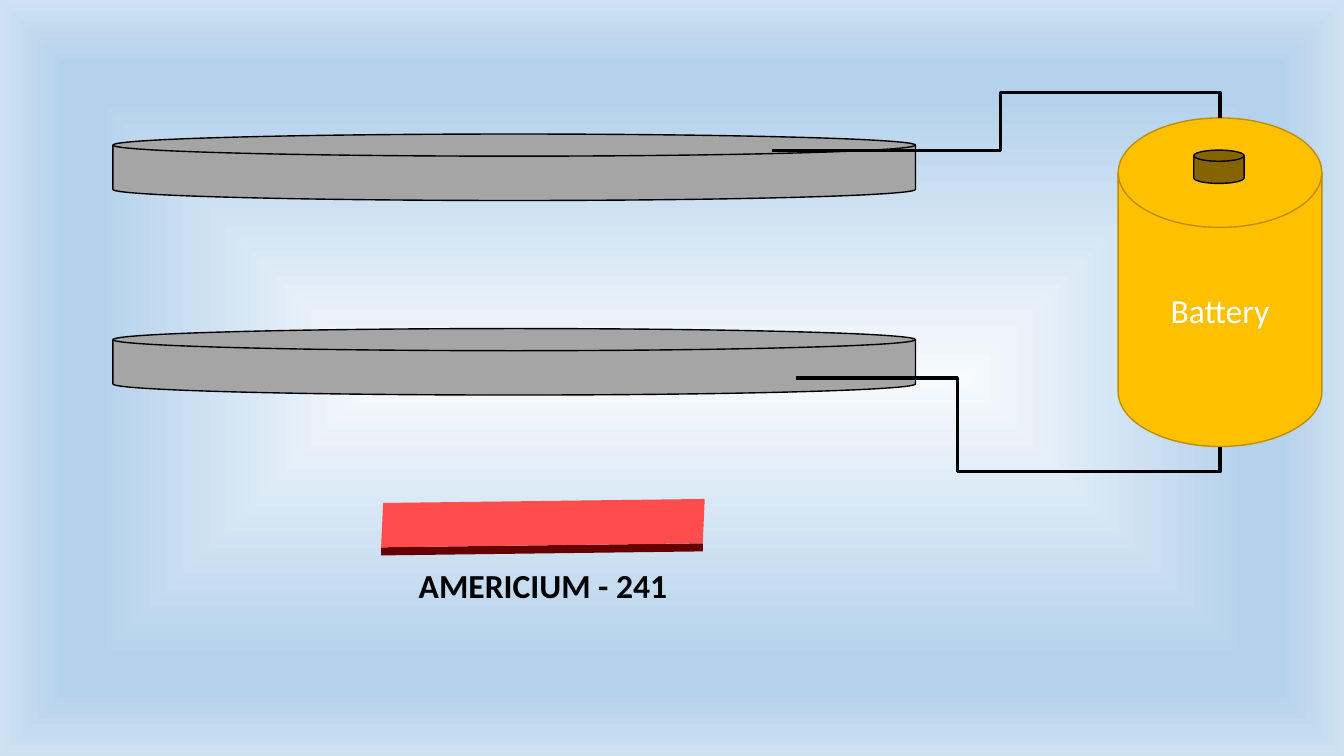
from lxml.etree import SubElement
from pptx import Presentation
from pptx.dml.color import RGBColor as RGB
from pptx.enum.shapes import MSO_CONNECTOR as Link, MSO_SHAPE as Kind
from pptx.enum.text import MSO_ANCHOR as Anchor, PP_ALIGN as Align
from pptx.oxml import parse_xml
from pptx.oxml.ns import qn
from pptx.util import Inches, Pt

BLACK = RGB(0, 0, 0)
WHITE = RGB(255, 255, 255)
GREY = RGB(0xA5, 0xA5, 0xA5)
GOLD = RGB(0xFF, 0xC0, 0x00)
BRONZE = RGB(0xBD, 0x8E, 0x00)
RED = RGB(0xFF, 0x4D, 0x4D)
MAROON = RGB(0x66, 0x00, 0x00)
PALE = RGB(0xF7, 0xFA, 0xFD)
SKY = RGB(0xB5, 0xD2, 0xEC)
MIST = RGB(0xCE, 0xE1, 0xF2)
STOPS = [(0, PALE), (74, SKY), (83, SKY), (100, MIST)]
SPACE = "http://schemas.openxmlformats.org/drawingml/2006/main"


def set_back(slide):
    """Fill the background with a gradient that spreads from the centre."""
    slide.background.fill.gradient()
    old = slide.element.find(".//" + qn("a:gradFill"))
    stops = "".join(
        f'<a:gs pos="{pos * 1000}"><a:srgbClr val="{tint}"/></a:gs>'
        for pos, tint in STOPS
    )
    new = parse_xml(
        f'<a:gradFill xmlns:a="{SPACE}" rotWithShape="1"><a:gsLst>{stops}</a:gsLst>'
        '<a:path path="rect"><a:fillToRect l="50000" t="50000" r="50000" b="50000"/>'
        "</a:path></a:gradFill>"
    )
    old.getparent().replace(old, new)


def add_disk(slide, left, top, width, height, fill, line):
    """Add one outlined cylinder."""
    box = map(Inches, (left, top, width, height))
    disk = slide.shapes.add_shape(Kind.FLOWCHART_MAGNETIC_DISK, *box)
    disk.shadow.inherit = False
    disk.fill.solid()
    disk.fill.fore_color.rgb = fill
    disk.line.color.rgb = line
    disk.line.width = Pt(1)
    return disk


def set_text(frame, text, tint, bold=False):
    """Write one centred label."""
    para = frame.paragraphs[0]
    para.text = text
    para.alignment = Align.CENTER
    para.font.name = "Calibri"
    para.font.size = Pt(24)
    para.font.bold = bold
    para.font.color.rgb = tint


def add_cell(slide, left, top, width, height):
    """Add the battery with its label and shaded terminal."""
    cell = add_disk(slide, left, top, width, height, GOLD, BRONZE)
    cell.text_frame.vertical_anchor = Anchor.MIDDLE
    set_text(cell.text_frame, "Battery", WHITE)
    knob = add_disk(slide, left + width / 2 - 0.26, top + 0.32, 0.5, 0.33, BLACK, BLACK)
    tint = knob.element.spPr.find(qn("a:solidFill") + "/" + qn("a:srgbClr"))
    SubElement(tint, qn("a:alpha"), val="48000")


def add_wire(slide, start, end, bends):
    """Add one wire with three bends, placed as shares of its box."""
    ends = map(Inches, (*start, *end))
    wire = slide.shapes.add_connector(Link.ELBOW, *ends)
    wire.line.color.rgb = BLACK
    wire.line.width = Pt(2.25)
    props = wire.element.spPr
    shape = props.find(qn("a:prstGeom"))
    shape.set("prst", "bentConnector4")
    guides = shape.find(qn("a:avLst"))
    if guides is None:
        guides = SubElement(shape, qn("a:avLst"))
    for num, bend in enumerate(bends, 1):
        SubElement(guides, qn("a:gd"), name=f"adj{num}", fmla=f"val {round(bend * 100000)}")
    SubElement(props, qn("a:effectLst"))


def add_slab(slide, left, top, width, height):
    """Add the tilted source slab, its front edge and its caption."""
    lean, rise, deep = 0.02, 0.04, 0.08
    right, base = left + width, top + height
    low = [(left, base - deep), (right - lean, base - deep - rise)]
    face = [(left + lean, top + rise), (right, top), low[1], low[0]]
    edge = [*low, (right - lean, base - rise), (left, base)]
    for points, tint in ((edge, MAROON), (face, RED)):
        spots = [(Inches(x), Inches(y)) for x, y in points]
        path = slide.shapes.build_freeform(*spots[0])
        path.add_line_segments(spots[1:], close=True)
        part = path.convert_to_shape()
        part.shadow.inherit = False
        part.fill.solid()
        part.fill.fore_color.rgb = tint
        part.line.fill.background()
    box = map(Inches, (left + 0.26, base + 0.05, 2.69, 0.5))
    label = slide.shapes.add_textbox(*box)
    label.text_frame.word_wrap = False
    set_text(label.text_frame, "AMERICIUM - 241", BLACK, True)


def add_scene(slide, left, top):
    """Lay out the plates, slab, battery and wires."""
    set_back(slide)
    for row in range(2):
        add_disk(slide, left, top + row * 1.93, 7.96, 0.66, GREY, BLACK)
    add_slab(slide, left + 2.66, top + 3.62, 3.21, 0.56)
    add_cell(slide, left + 9.97, top - 0.16, 2.02, 3.26)
    pole = left + 10.98
    add_wire(slide, (left + 6.54, top + 0.16), (pole, top - 0.16), (0.51, 1.79))
    add_wire(slide, (left + 6.78, top + 2.42), (pole, top + 3.1), (0.38, 1.37))


def main():
    """Build and save the slide."""
    deck = Presentation()
    deck.slide_width = Inches(13.33)
    deck.slide_height = Inches(7.5)
    slide = deck.slides.add_slide(deck.slide_layouts[6])
    add_scene(slide, 1.12, 1.33)
    deck.save("out.pptx")


if __name__ == "__main__":
    main()
